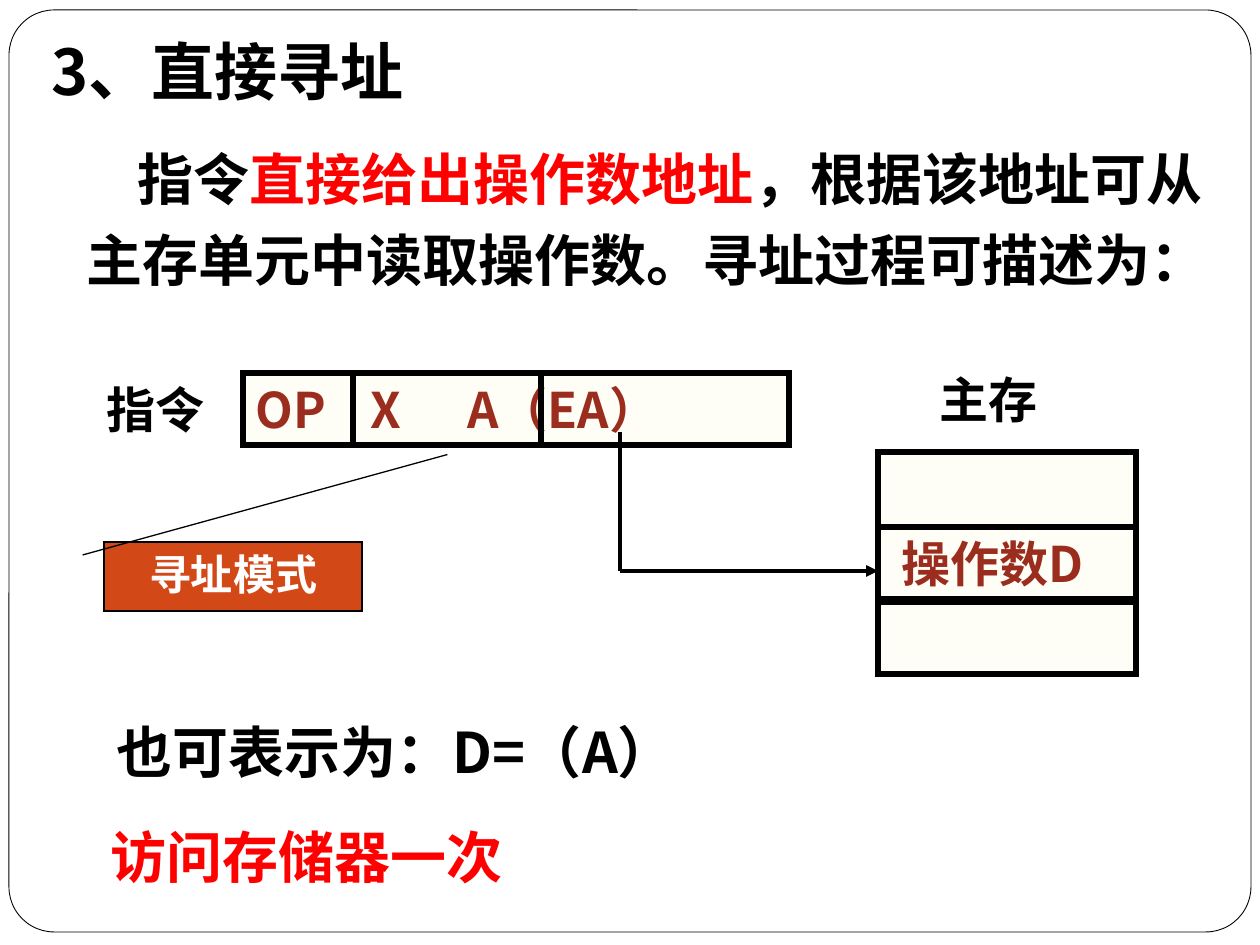
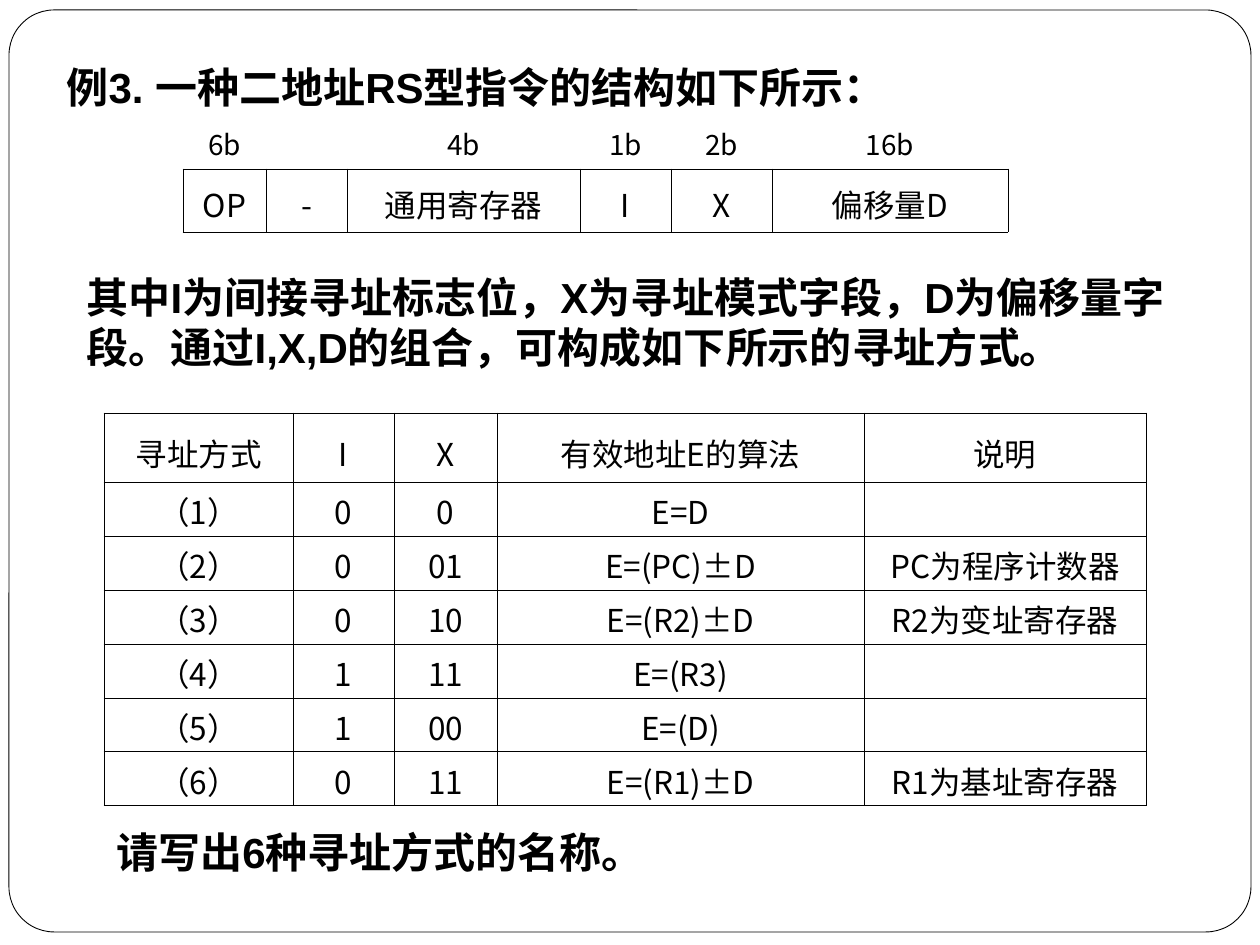
from collections import namedtuple
from dataclasses import dataclass

from lxml.etree import SubElement
from pptx import Presentation
from pptx.dml.color import RGBColor
from pptx.enum.shapes import MSO_CONNECTOR, MSO_SHAPE
from pptx.enum.text import MSO_ANCHOR, MSO_AUTO_SIZE, PP_ALIGN
from pptx.oxml.ns import qn
from pptx.util import Emu, Pt

Box = namedtuple("Box", "left top width height")
Part = namedtuple("Part", "text color", defaults=(None,))


@dataclass(frozen=True)
class Theme:
    ink: str = "000000"
    paper: str = "FFFFFF"
    alert: str = "FF0000"
    field_text: str = "9B2D1F"
    field_fill: str = "FEFEF6"
    callout: str = "D34817"
    sans: str = "Noto Sans CJK SC"
    arial: str = "Arial"
    serif: str = "Times New Roman"
    heading: int = 36
    statement: int = 32
    label: int = 28
    text: int = 24
    cell: int = 18
    bits: int = 16
    frame_line: float = 0.5
    grid_line: float = 0.45
    callout_line: float = 0.75
    arrow_line: float = 2.25
    field_line: float = 3


THEME = Theme()
TEXT_FRAME = {
    "word_wrap": True,
    "auto_size": MSO_AUTO_SIZE.NONE,
    "vertical_anchor": MSO_ANCHOR.TOP,
}
PLAIN_TABLE = {"first_row": False, "horz_banding": False}
ADDRESSING_MODES = [
    ["寻址方式", "I", "X", "有效地址E的算法", "说明"],
    ["（1）", "0", "0", "E=D", ""],
    ["（2）", "0", "01", "E=(PC)±D", "PC为程序计数器"],
    ["（3）", "0", "10", "E=(R2)±D", "R2为变址寄存器"],
    ["（4）", "1", "11", "E=(R3)", ""],
    ["（5）", "1", "00", "E=(D)", ""],
    ["（6）", "0", "11", "E=(R1)±D", "R1为基址寄存器"],
]
INSTRUCTION_FORMAT = [
    ["", "6b", "", "4b", "1b", "2b", "16b", ""],
    ["", "OP", "-", "通用寄存器", "I", "X", "偏移量D", ""],
    [""] * 8,
]


def px(length):
    return Emu(round(length * 914400 / 126))


def assign(target, values):
    for name, value in values.items():
        setattr(target, name, value)


def place(holder, box):
    assign(holder, {name: px(length) for name, length in box._asdict().items()})


def inside(box, left, top, width, height):
    return Box(box.left + left, box.top + top, width, height)


def rgb(color):
    return RGBColor.from_string(color)


def write(paragraph, parts, size, font=THEME.sans, color=THEME.ink, bold=True,
          align=PP_ALIGN.LEFT, margin=0, indent=0, spacing=1):
    properties = paragraph._p.get_or_add_pPr()
    properties.set("marL", str(px(margin)))
    properties.set("indent", str(px(indent)))
    SubElement(properties, qn("a:buNone"))
    assign(paragraph, {"alignment": align, "space_before": Pt(0), "line_spacing": spacing})
    for part in parts:
        run = paragraph.add_run()
        run.text = part.text
        assign(run.font, {"size": Pt(size), "name": font, "bold": bold})
        run.font.color.rgb = rgb(part.color or color)
        SubElement(run.font._element, qn("a:ea"), typeface=THEME.sans)


def fill_text(holder, parts, size, **style):
    assign(holder.text_frame, TEXT_FRAME)
    write(holder.text_frame.paragraphs[0], parts, size, **style)


def placeholder(holder, box, parts, size, **style):
    place(holder, box)
    fill_text(holder, parts, size, **style)


def label(slide, box, text, size, **style):
    caption = slide.shapes.add_textbox(*map(px, box))
    fill_text(caption, [Part(text)], size, **style)


def block(slide, box, kind=MSO_SHAPE.RECTANGLE, fill=THEME.field_fill, weight=THEME.field_line):
    panel = slide.shapes.add_shape(kind, *map(px, box))
    panel.shadow.inherit = False
    panel.fill.solid()
    panel.fill.fore_color.rgb = rgb(fill)
    panel.line.color.rgb = rgb(THEME.ink)
    panel.line.width = Pt(weight)
    SubElement(panel.line._get_or_add_ln(), qn("a:miter"), lim="800000")
    return panel


def line(slide, start, end, weight, arrow=False):
    stroke = slide.shapes.add_connector(MSO_CONNECTOR.STRAIGHT, *map(px, start + end))
    stroke.line.color.rgb = rgb(THEME.ink)
    stroke.line.width = Pt(weight)
    if arrow:
        SubElement(stroke.line._get_or_add_ln(), qn("a:tailEnd"), type="triangle")
    SubElement(stroke._element.spPr, qn("a:effectLst"))


def master_frame(deck, slide, box):
    border = block(slide, box, MSO_SHAPE.ROUNDED_RECTANGLE, THEME.paper, THEME.frame_line)
    border.adjustments[0] = 0.049
    border._element.nvSpPr.cNvPr.set("id", "99")
    deck.slide_master.shapes.element.insert(2, border._element)


def cell_borders(cell, sides):
    properties = cell._tc.get_or_add_tcPr()
    for side, ruled in sides.items():
        edge = SubElement(properties, qn(f"a:ln{side}"), w=str(Pt(THEME.grid_line)))
        if ruled:
            solid = SubElement(edge, qn("a:solidFill"))
            SubElement(solid, qn("a:srgbClr"), val=THEME.ink)
        else:
            SubElement(edge, qn("a:noFill"))


def grid(slide, box, rows, widths, heights, ruled, sizes):
    table = slide.shapes.add_table(len(rows), len(widths), *map(px, box)).table
    assign(table, PLAIN_TABLE)
    for column, width in zip(table.columns, widths):
        column.width = px(width)
    for row, height in zip(table.rows, heights):
        row.height = px(height)
    neighbours = {"L": (0, -1), "R": (0, 1), "T": (-1, 0), "B": (1, 0)}
    for r, row in enumerate(rows):
        for c, text in enumerate(row):
            cell = table.cell(r, c)
            cell_borders(cell, {
                side: (r, c) in ruled or (r + down, c + right) in ruled
                for side, (down, right) in neighbours.items()
            })
            cell.fill.background()
            assign(cell, {
                "vertical_anchor": MSO_ANCHOR.BOTTOM,
                "margin_top": px(4),
                "margin_bottom": px(2 if heights[r] < 60 else 6),
            })
            if text:
                write(cell.text_frame.paragraphs[0], [Part(text)], sizes[r],
                      bold=False, align=PP_ALIGN.CENTER)


def instruction_word(slide, box):
    label(slide, inside(box, 0, 0, 144, box.height), "指令", THEME.label, font=THEME.serif)
    word = inside(box, 149, 0, 546, box.height)
    block(slide, word)
    for field, left, width in (("OP", 0, 110), ("X", 115, 90), ("A（EA）", 212, 300)):
        label(slide, inside(word, left, 0, width, word.height), field, THEME.label,
              color=THEME.field_text)
    for divider in (110, 298):
        x = word.left + divider
        line(slide, (x, word.top), (x, word.top + word.height), THEME.field_line)


def main_memory(slide, box):
    label(slide, inside(box, 49, 0, 179, 72), "主存", THEME.label, font=THEME.arial)
    block(slide, inside(box, 0, 89, box.width, 77))
    operand, _ = [block(slide, inside(box, 0, top, box.width, 72)) for top in (164, 239)]
    fill_text(operand, [Part("操作数D")], THEME.label, color=THEME.field_text, margin=11)


def address_path(slide, box):
    corner = (box.left, box.top + box.height)
    line(slide, (box.left, box.top), corner, THEME.arrow_line)
    line(slide, corner, (box.left + box.width, corner[1]), THEME.arrow_line, arrow=True)


def mode_callout(slide, box):
    callout = block(slide, box, MSO_SHAPE.LINE_CALLOUT_1, THEME.callout, THEME.callout_line)
    for index, value in enumerate((0.188, -0.083, -1.268, 1.331)):
        callout.adjustments[index] = value
    fill_text(callout, [Part("寻址模式")], THEME.text, font=THEME.arial,
              color=THEME.paper, align=PP_ALIGN.CENTER)


def direct_addressing(slide):
    placeholder(slide.shapes.title, Box(39, 26, 968, 88), [Part("3、直接寻址")], THEME.heading)
    placeholder(slide.placeholders[1], Box(74, 125, 1152, 174), [
        Part("指令"),
        Part("直接给出操作数地址", THEME.alert),
        Part("，根据该地址可从主存单元中读取操作数。寻址过程可描述为："),
    ], THEME.statement, indent=51, spacing=1.2)
    instruction_word(slide, Box(94, 373, 695, 72))
    main_memory(slide, Box(878, 363, 258, 311))
    address_path(slide, Box(620, 432, 258, 139))
    mode_callout(slide, Box(104, 542, 258, 69))
    label(slide, Box(104, 711, 684, 81), "也可表示为：D=（A）", THEME.statement)
    label(slide, Box(98, 816, 684, 81), "访问存储器一次", THEME.statement, color=THEME.alert)


def instruction_format(slide, box):
    ruled = {(1, column) for column in range(1, 7)}
    grid(slide, box, INSTRUCTION_FORMAT, (129, 83, 81, 233, 91, 101, 236, 129),
         [63] * 3, ruled, (THEME.bits, THEME.cell, THEME.cell))


def addressing_modes(slide, box):
    ruled = {(r, c) for r in range(7) for c in range(5)}
    grid(slide, box, ADDRESSING_MODES, (189, 101, 103, 367, 282),
         [69] + [54] * 6, ruled, [THEME.cell] * 7)


def addressing_example(slide):
    placeholder(slide.shapes.title, Box(54, 55, 1142, 63),
                [Part("例3. 一种二地址RS型指令的结构如下所示：")], THEME.text, font=THEME.arial)
    instruction_format(slide, Box(54, 106, 1083, 189))
    placeholder(slide.placeholders[1], Box(74, 265, 1131, 113), [
        Part("其中I为间接寻址标志位，X为寻址模式字段，D为偏移量字段。"
             "通过I,X,D的组合，可构成如下所示的寻址方式。"),
    ], THEME.text, font=THEME.arial)
    addressing_modes(slide, Box(104, 413, 1042, 393))
    label(slide, Box(104, 820, 1052, 63), "请写出6种寻址方式的名称。", THEME.text, font=THEME.arial)


def main():
    deck = Presentation()
    assign(deck, {"slide_width": px(1260), "slide_height": px(945)})
    lesson, example = [deck.slides.add_slide(deck.slide_layouts[1]) for _ in range(2)]
    master_frame(deck, lesson, Box(9, 10, 1242, 922))
    direct_addressing(lesson)
    addressing_example(example)
    deck.save("out.pptx")


if __name__ == "__main__":
    main()
